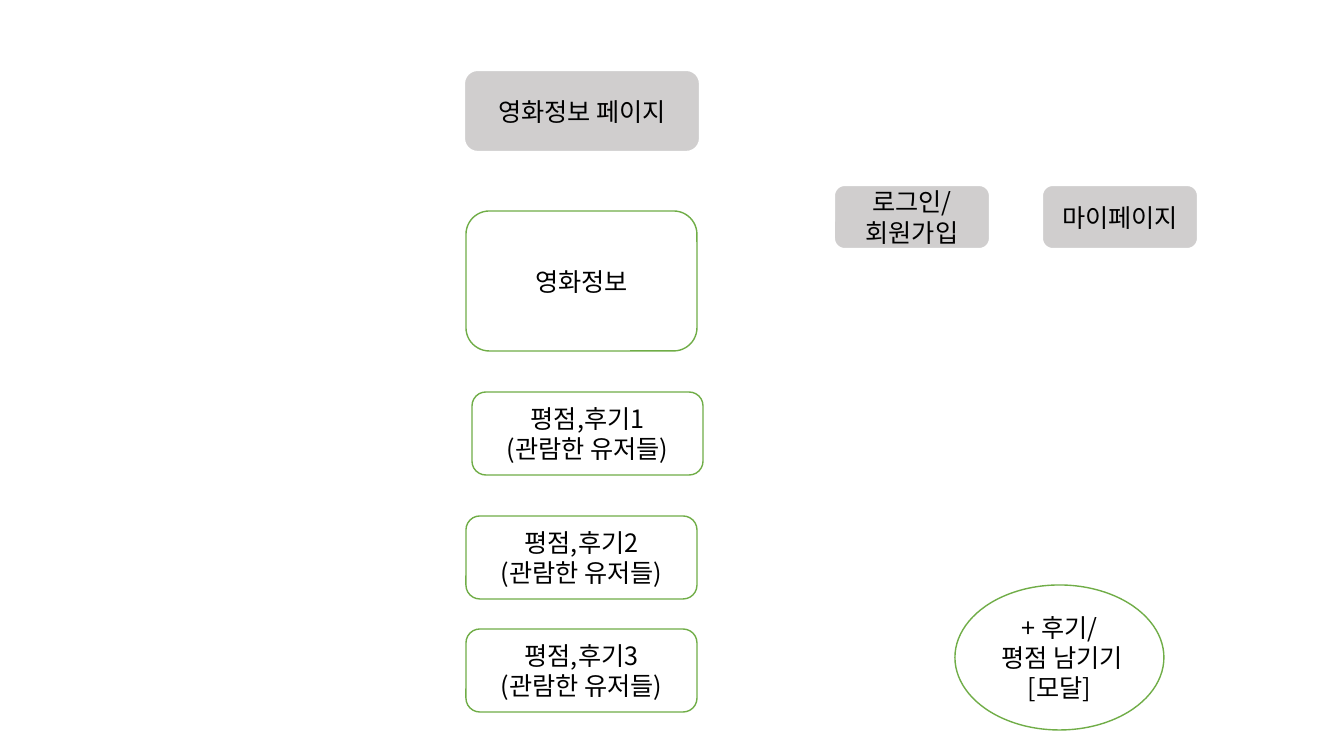
from lxml import etree
from pptx import Presentation
from pptx import util as u
from pptx.dml.color import RGBColor
from pptx.enum import shapes, text
from pptx.oxml.ns import qn

SCALE = 914400 / 100.8
COLORS = {"white": "FFFFFF", "gray": "D0CECE", "green": "70AD47", "black": "000000"}
FONT = "Noto Sans CJK KR"


def px(length):
    return u.Emu(round(length * SCALE))


def color(name):
    return RGBColor.from_string(COLORS[name])


def write(frame, content, size=18, ink="black", font=FONT):
    frame.word_wrap = True
    frame.vertical_anchor = text.MSO_ANCHOR.MIDDLE
    paragraph = frame.paragraphs[0]
    paragraph.alignment = text.PP_ALIGN.CENTER
    paragraph.text = content
    for run in paragraph.runs:
        run.font.size = u.Pt(size)
        run.font.color.rgb = color(ink)
        run.font.name = font
        etree.SubElement(run.font._element, qn("a:ea"), typeface=font)


class Wireframe:
    def __init__(self, slide):
        self.slide = slide

    def node(self, preset, box, content, fill, line, weight):
        shape = self.slide.shapes.add_shape(preset, *map(px, box))
        shape.shadow.inherit = False
        shape.fill.solid()
        shape.fill.fore_color.rgb = color(fill)
        shape.line.color.rgb = color(line)
        shape.line.width = u.Pt(weight)
        write(shape.text_frame, content)

    def page(self, box, content):
        self.node(shapes.MSO_SHAPE.ROUNDED_RECTANGLE, box, content, "gray", "white", 1.5)

    def section(self, box, content):
        self.node(shapes.MSO_SHAPE.ROUNDED_RECTANGLE, box, content, "white", "green", 1)

    def action(self, box, content):
        self.node(shapes.MSO_SHAPE.OVAL, box, content, "white", "green", 1)


deck = Presentation()
deck.slide_width, deck.slide_height = px(1344), px(756)
wireframe = Wireframe(deck.slides.add_slide(deck.slide_layouts[6]))

wireframe.section((466, 211, 231, 140), "영화정보")
wireframe.page((464, 70, 236, 82), "영화정보 페이지")
for number, (left, top) in enumerate([(472, 392), (466, 516), (466, 629)], 1):
    wireframe.section((left, top, 231, 83), f"평점,후기{number}\n(관람한 유저들)")
wireframe.action((955, 585, 209, 145), "+ 후기/\n 평점 남기기 [모달]")
for left, title in [(834, "로그인/\n회원가입"), (1042, "마이페이지")]:
    wireframe.page((left, 185, 156, 64), title)

deck.save("out.pptx")
